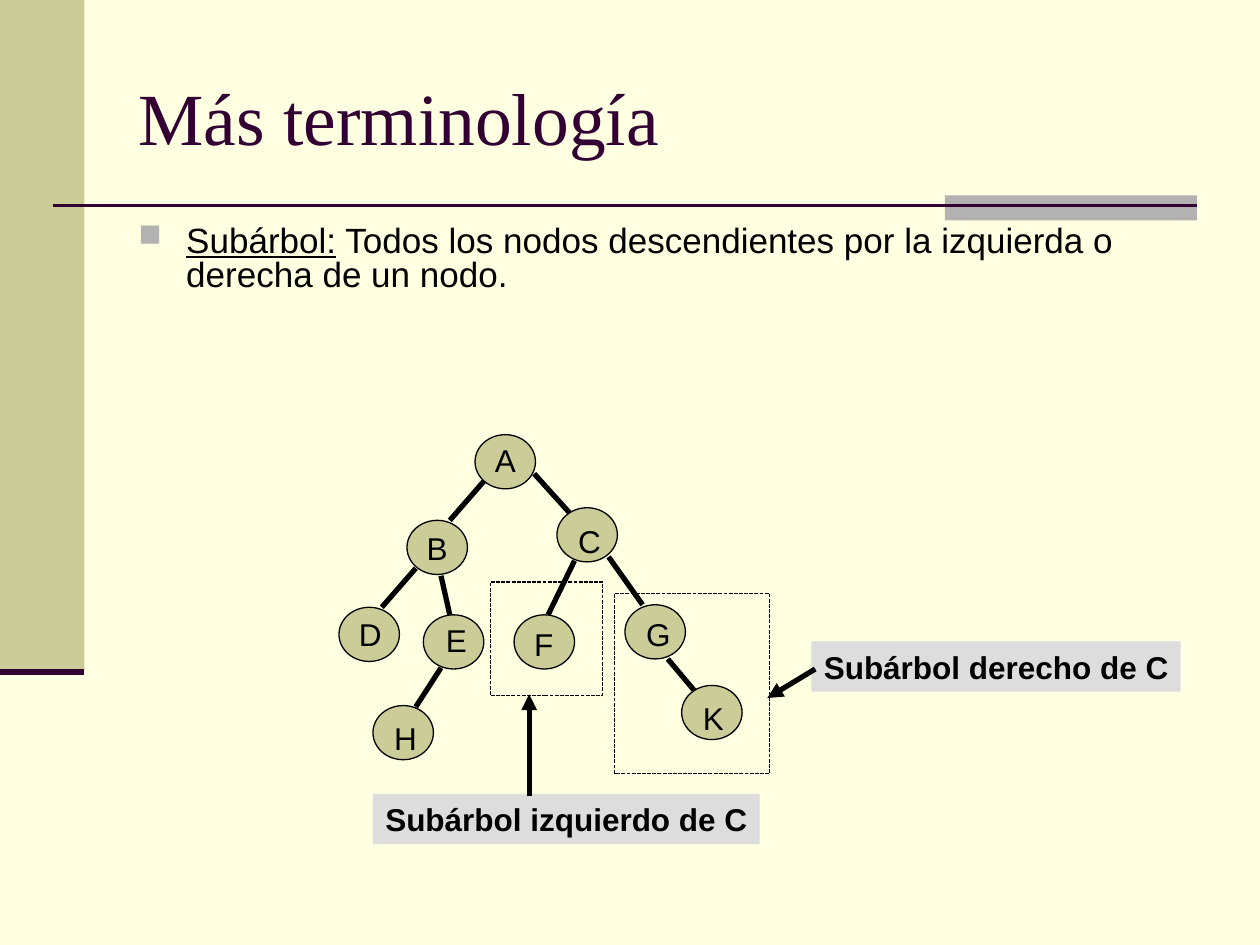
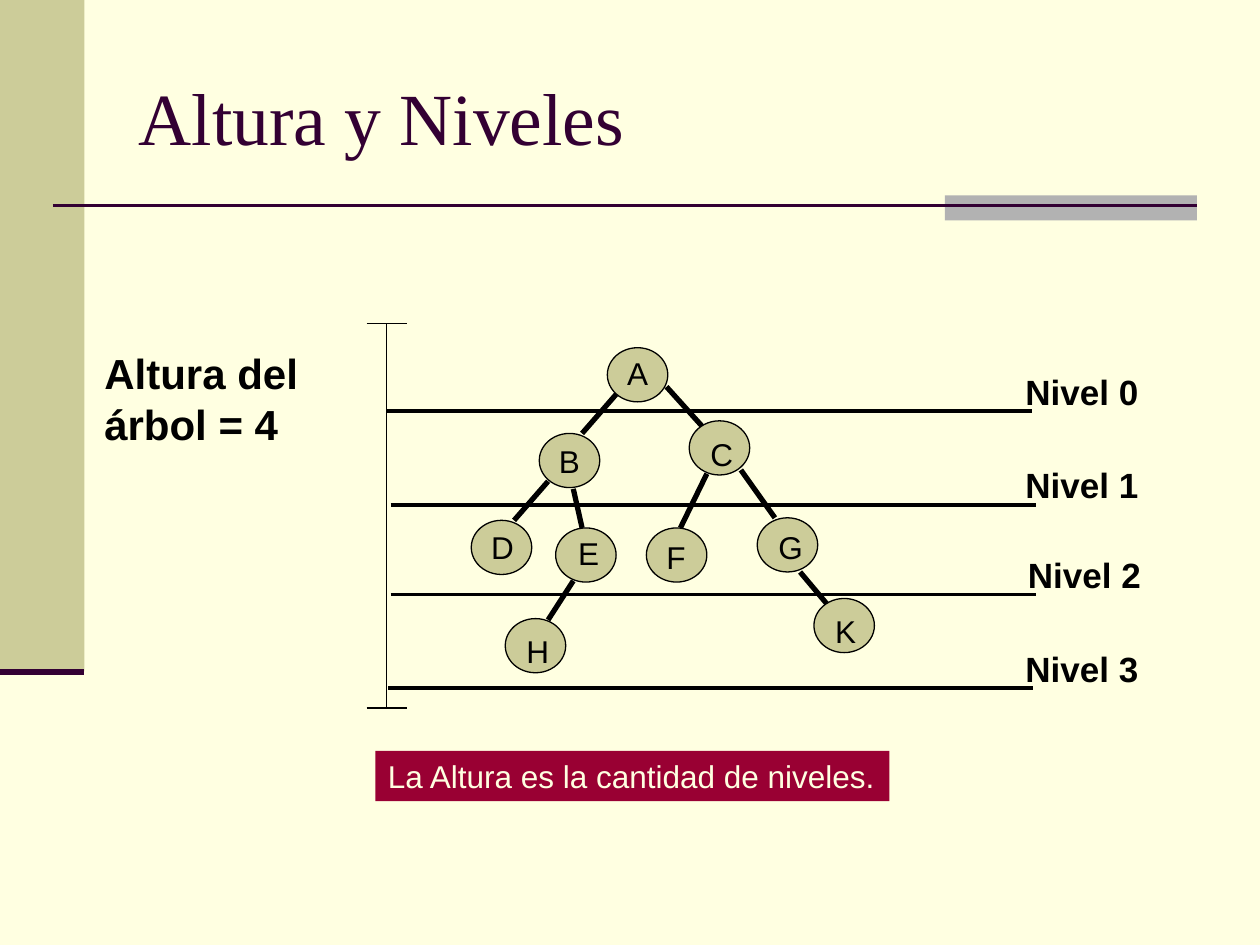
from typing import NamedTuple, Optional

from lxml.etree import SubElement
from pptx import Presentation
from pptx.dml.color import RGBColor
from pptx.enum.dml import MSO_LINE
from pptx.enum.shapes import MSO_CONNECTOR, MSO_SHAPE
from pptx.enum.text import MSO_ANCHOR, MSO_AUTO_SIZE, PP_ALIGN
from pptx.oxml.ns import qn
from pptx.util import Inches, Pt

COLORS = {
    "background": "FFFFE1",
    "khaki": "CCCC99",
    "gray": "B2B2B2",
    "label": "DDDDDD",
    "plum": "330033",
    "crimson": "990033",
    "black": "000000",
}
BODY_FONT = "Arial"
TITLE_FONT = "Times New Roman"


class Box(NamedTuple):
    x: float
    y: float
    w: float
    h: float

    def lengths(self) -> list:
        return [Inches(v) for v in self]


class Line(NamedTuple):
    x1: float
    y1: float
    x2: float
    y2: float


class Node(NamedTuple):
    letter: str
    x: float
    y: float
    label_dx: Optional[float] = None
    label_dy: float = 0
    label_w: float = 0.27


class Level(NamedTuple):
    line_x: float
    line_y: float
    text_x: float
    text_y: float
    text_w: float


NODE_W, NODE_H, TEXT_H = 0.48, 0.43, 0.4
NODES = [
    Node("A", 0, 0, 0.06),
    Node("B", -0.54, 0.68),
    Node("C", 0.65, 0.58, 0.07, 0.06),
    Node("D", -1.08, 1.37, 0.06, 0.01),
    Node("E", -0.41, 1.43, 0.08, 0, 0.42),
    Node("H", -0.81, 2.15, 0.07, 0.06),
    Node("F", 0.31, 1.43, 0.06, 0.03),
    Node("G", 1.19, 1.35, 0.07, 0.03),
    Node("K", 1.64, 1.99, 0.07, 0.06),
]
EDGES = [
    Line(0.07, 0.37, -0.2, 0.68),
    Line(-0.47, 1.06, -0.74, 1.37),
    Line(0.47, 0.31, 0.75, 0.62),
    Line(1.06, 0.97, 1.33, 1.35),
    Line(-0.27, 1.12, -0.2, 1.43),
    Line(0.79, 1.0, 0.58, 1.43),
    Line(-0.27, 1.85, -0.47, 2.16),
    Line(1.53, 1.78, 1.74, 2.03),
]
LEVEL_LINE_W = 5.12
LEVELS = [
    Level(3.07, 3.26, 8.04, 2.89, 1.34),
    Level(3.1, 4.01, 8.04, 3.63, 1.18),
    Level(3.1, 4.72, 8.06, 4.34, 1.34),
    Level(3.08, 5.46, 8.04, 5.09, 1.18),
]
HEIGHT_BRACKET = [
    Line(2.91, 2.57, 3.23, 2.57),
    Line(2.91, 5.62, 3.23, 5.62),
    Line(3.07, 2.57, 3.07, 5.62),
]
SUBTREE_FRAMES = [Box(4.88, 4.71, 1.23, 1.43), Box(3.89, 4.62, 0.89, 0.9)]
SUBTREE_LABELS = [
    ("Subárbol derecho de C", Box(6.44, 5.09, 2.93, TEXT_H), Line(6.47, 5.31, 6.09, 5.54)),
    ("Subárbol izquierdo de C", Box(2.96, 6.3, 3.07, TEXT_H), Line(4.2, 6.32, 4.2, 5.51)),
]


def rgb(color: str) -> RGBColor:
    return RGBColor.from_string(COLORS[color])


def set_font(p, size: float, color: str = "black", bold: bool = False, name: str = BODY_FONT) -> None:
    font = p.font
    font.name, font.size, font.bold = name, Pt(size), bold
    font.color.rgb = rgb(color)


def add_block(s, kind, box: Box, fill: Optional[str] = None, outlined: bool = False):
    sp = s.shapes.add_shape(kind, *box.lengths())
    sp.shadow.inherit = False
    if fill:
        sp.fill.solid()
        sp.fill.fore_color.rgb = rgb(fill)
    else:
        sp.fill.background()
    if outlined:
        sp.line.color.rgb = rgb("black")
        sp.line.width = Pt(0.75)
    else:
        sp.line.fill.background()
    return sp


def add_line(s, line: Line, width: float, color: str = "black", arrow: bool = False) -> None:
    ends = [Inches(v) for v in line]
    cxn = s.shapes.add_connector(MSO_CONNECTOR.STRAIGHT, *ends)
    cxn.line.color.rgb = rgb(color)
    cxn.line.width = Pt(width)
    if arrow:
        SubElement(cxn.line._get_or_add_ln(), qn("a:tailEnd"), type="triangle")
    SubElement(cxn._element.spPr, qn("a:effectLst"))


def add_text(s, box: Box, text: str, size: float, bold: bool = False):
    tf = s.shapes.add_textbox(*box.lengths()).text_frame
    tf.word_wrap = True
    p = tf.paragraphs[0]
    p.text = text
    set_font(p, size, bold=bold)
    return p


def add_banner(s, box: Box, text: str, fill: str, color: str = "black", bold: bool = False) -> None:
    tf = add_block(s, MSO_SHAPE.RECTANGLE, box, fill).text_frame
    tf.word_wrap = False
    tf.vertical_anchor = MSO_ANCHOR.TOP
    p = tf.paragraphs[0]
    p.text = text
    p.alignment = PP_ALIGN.LEFT
    set_font(p, 18, color, bold)


def add_slide(prs, title: str):
    s = prs.slides.add_slide(prs.slide_layouts[5])
    s.background.fill.solid()
    s.background.fill.fore_color.rgb = rgb("background")
    add_block(s, MSO_SHAPE.RECTANGLE, Box(0, 0, 0.67, 5.33), "khaki")
    add_block(s, MSO_SHAPE.RECTANGLE, Box(7.5, 1.55, 2, 0.2), "gray")
    add_line(s, Line(0.42, 1.63, 9.5, 1.63), 1.5, "plum")
    add_line(s, Line(0, 5.33, 0.67, 5.33), 3.5, "plum")
    sp = s.shapes.title
    sp.left, sp.top, sp.width, sp.height = Box(1, 0.3, 8.5, 1.25).lengths()
    tf = sp.text_frame
    tf.auto_size = MSO_AUTO_SIZE.NONE
    tf.vertical_anchor = MSO_ANCHOR.MIDDLE
    p = tf.paragraphs[0]
    p.text = title
    p.alignment = PP_ALIGN.LEFT
    set_font(p, 42, "plum", name=TITLE_FONT)
    return s


def add_tree(s, x: float, y: float) -> None:
    for node in NODES:
        box = Box(x + node.x, y + node.y, NODE_W, NODE_H)
        sp = add_block(s, MSO_SHAPE.OVAL, box, "khaki", outlined=True)
        if node.label_dx is None:
            tf = sp.text_frame
            tf.word_wrap = False
            p = tf.paragraphs[0]
            p.text = node.letter
            p.alignment = PP_ALIGN.CENTER
            set_font(p, 18)
    for edge in EDGES:
        add_line(s, Line(x + edge.x1, y + edge.y1, x + edge.x2, y + edge.y2), 3)
    for node in NODES:
        if node.label_dx is not None:
            left, top = x + node.x + node.label_dx, y + node.y + node.label_dy
            add_text(s, Box(left, top, node.label_w, TEXT_H), node.letter, 18)


def add_definition(s, term: str, meaning: str) -> None:
    p = add_text(s, Box(1, 1.75, 8.5, 1.24), term, 20)
    p.runs[0].font.underline = True
    p.add_run().text = meaning
    p.line_spacing = 0.8
    pPr = p._p.get_or_add_pPr()
    pPr.set("marL", str(Inches(0.38)))
    pPr.set("indent", str(-Inches(0.38)))
    bullet_color = pPr.makeelement(qn("a:buClr"))
    SubElement(bullet_color, qn("a:srgbClr"), val=COLORS["gray"])
    bullet_size = pPr.makeelement(qn("a:buSzPct"), val="90000")
    bullet = pPr.makeelement(qn("a:buChar"), char="■")
    pPr.find(qn("a:lnSpc")).addnext(bullet_color)
    bullet_color.addnext(bullet_size)
    bullet_size.addnext(bullet)


def build_subtrees(prs) -> None:
    s = add_slide(prs, "Más terminología")
    add_definition(s, "Subárbol:", " Todos los nodos descendientes por la izquierda o derecha de un nodo.")
    add_tree(s, 3.77, 3.45)
    for frame in SUBTREE_FRAMES:
        sp = add_block(s, MSO_SHAPE.RECTANGLE, frame, outlined=True)
        sp.line.dash_style = MSO_LINE.SQUARE_DOT
    for text, box, arrow in SUBTREE_LABELS:
        add_banner(s, box, text, "label", bold=True)
        add_line(s, arrow, 3, arrow=True)


def build_levels(prs) -> None:
    s = add_slide(prs, "Altura y Niveles")
    add_text(s, Box(0.73, 2.71, 2, 0.9), "Altura del árbol = 4", 24, bold=True)
    for i, level in enumerate(LEVELS):
        end = level.line_x + LEVEL_LINE_W
        add_line(s, Line(level.line_x, level.line_y, end, level.line_y), 2)
        box = Box(level.text_x, level.text_y, level.text_w, 0.44)
        add_text(s, box, f"Nivel {i}", 20, bold=True)
    for line in HEIGHT_BRACKET:
        add_line(s, line, 0.75)
    add_tree(s, 4.82, 2.76)
    add_banner(s, Box(2.98, 5.96, 4.08, TEXT_H), "La Altura es la cantidad de niveles.", "crimson", "background")


def main() -> None:
    prs = Presentation()
    prs.slide_width, prs.slide_height = Inches(10), Inches(7.5)
    build_subtrees(prs)
    build_levels(prs)
    prs.save("out.pptx")


if __name__ == "__main__":
    main()
